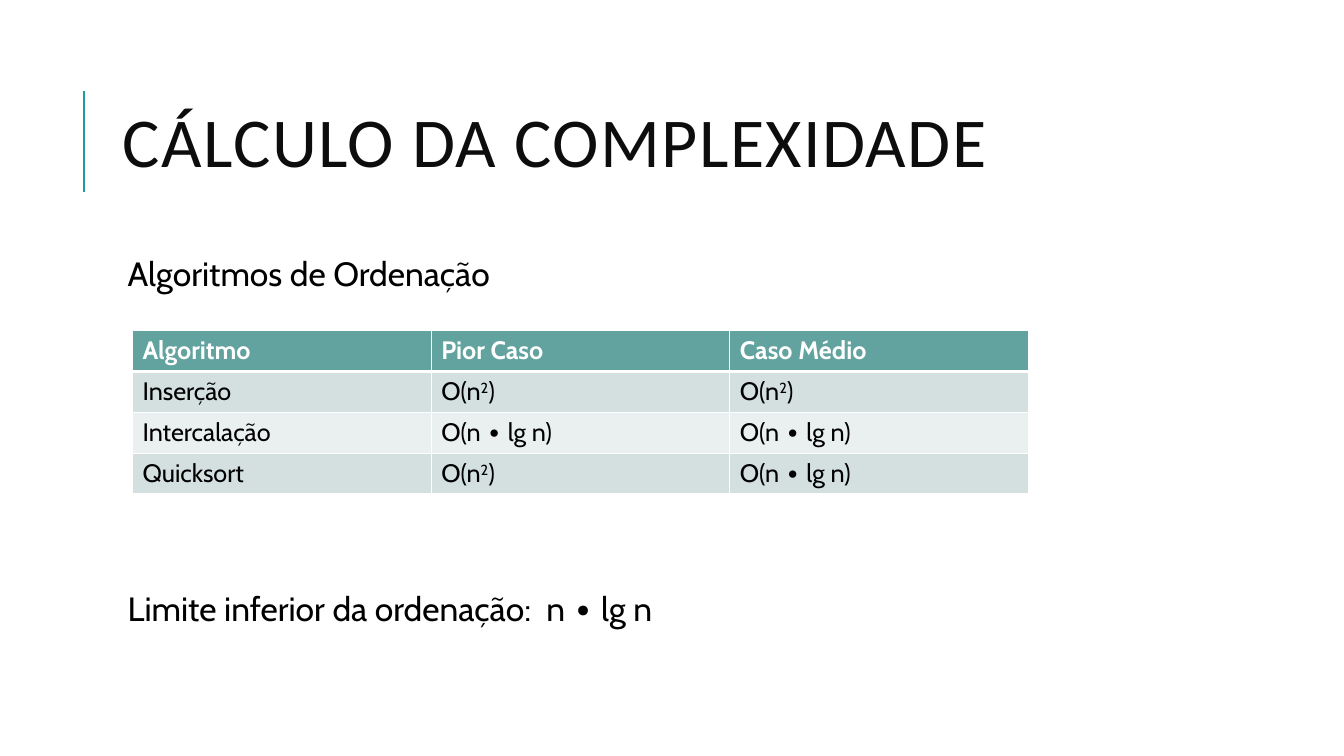
from lxml.etree import SubElement
from pptx import Presentation
from pptx.dml.color import RGBColor
from pptx.enum.shapes import MSO_CONNECTOR
from pptx.enum.text import MSO_ANCHOR, MSO_AUTO_SIZE, PP_ALIGN
from pptx.oxml.ns import qn
from pptx.util import Cm, Pt

HEADER = ["Algoritmo", "Pior Caso", "Caso Médio"]
ALGORITHMS = [
    ["Inserção", "O(n^2)", "O(n^2)"],
    ["Intercalação", "O(n ∙ lg n)", "O(n ∙ lg n)"],
    ["Quicksort", "O(n^2)", "O(n ∙ lg n)"],
]
STATEMENTS = ["Algoritmos de Ordenação", "Limite inferior da ordenação:  n ∙ lg n"]
STATEMENT_GAP = Pt(213.5)
HEADER_FILL = "62A39F"
BAND_FILLS = ["D3E0DF", "EAF0F0"]


def color(hex_value):
    return RGBColor.from_string(hex_value)


def set_all(target, values):
    for name, value in values.items():
        setattr(target, name, value)


def add_run(paragraph, text, size, font, hex_color, bold=False):
    run = paragraph.add_run()
    run.text = text
    set_all(run.font, {"size": Pt(size), "name": font, "bold": bold})
    run.font.color.rgb = color(hex_color)
    return run


def add_title(slide, text, left, top, width, height):
    title = slide.shapes.title
    set_all(title, {"left": left, "top": top, "width": width, "height": height})
    set_all(title.text_frame, {"vertical_anchor": MSO_ANCHOR.MIDDLE,
                               "auto_size": MSO_AUTO_SIZE.NONE, "word_wrap": True})
    paragraph = title.text_frame.paragraphs[0]
    set_all(paragraph, {"alignment": PP_ALIGN.LEFT, "line_spacing": 0.8})
    run = add_run(paragraph, text, 50, "Calibri", "0D0D0D")
    run.font._element.set("spc", "100")

    bar_left, bar_top = left - Cm(0.73), top + Cm(0.66)
    bar = slide.shapes.add_connector(MSO_CONNECTOR.STRAIGHT, bar_left, bar_top + Cm(2.54),
                                     bar_left, bar_top)
    bar.line.color.rgb = color("1D9BA1")
    bar.line.width = Pt(1.5)
    SubElement(bar._element.spPr, qn("a:effectLst"))


def add_statements(slide, left, top, width, height):
    """Place the statements above and below the room kept for the table."""
    frame = slide.shapes.add_textbox(left, top, width, height).text_frame
    set_all(frame, {"word_wrap": True, "margin_left": Cm(0.38), "margin_right": Cm(0.13),
                    "margin_top": Cm(0.13), "margin_bottom": Cm(0.13)})
    for index, text in enumerate(STATEMENTS):
        paragraph = frame.add_paragraph() if index else frame.paragraphs[0]
        set_all(paragraph, {"line_spacing": 0.9, "space_before": STATEMENT_GAP * index})
        add_run(paragraph, text, 24, "Cabin", "000000")


def set_borders(cell, top_width, bottom_width):
    properties = cell._tc.get_or_add_tcPr()
    for side, width in (("L", 1), ("R", 1), ("T", top_width), ("B", bottom_width)):
        line = SubElement(properties, qn(f"a:ln{side}"), w=str(Pt(width)))
        fill = SubElement(line, qn("a:solidFill"))
        SubElement(fill, qn("a:srgbClr"), val="FFFFFF")


def fill_cell(cell, text, row_index):
    """Format one cell; what follows ^ in the text is a one-character exponent."""
    is_header = row_index == 0
    set_borders(cell, 3 if row_index == 1 else 1, 3 if is_header else 1)
    cell.fill.solid()
    cell.fill.fore_color.rgb = color(HEADER_FILL if is_header else BAND_FILLS[(row_index - 1) % 2])
    text_color = "FFFFFF" if is_header else "000000"
    paragraph = cell.text_frame.paragraphs[0]
    base, _, power = text.partition("^")
    for part, baseline in ((base, 0), (power[:1], 30000), (power[1:], 0)):
        if part:
            run = add_run(paragraph, part, 18, "Cabin", text_color, is_header)
            if baseline:
                run.font._element.set("baseline", str(baseline))


def add_complexity_table(slide, left, top, width, height):
    rows = [HEADER, *ALGORITHMS]
    table = slide.shapes.add_table(len(rows), len(HEADER), left, top, width, height).table
    for row_index, row in enumerate(rows):
        for column_index, text in enumerate(row):
            fill_cell(table.cell(row_index, column_index), text, row_index)


def main():
    presentation = Presentation()
    presentation.slide_width, presentation.slide_height = Cm(33.87), Cm(19.05)
    slide = presentation.slides.add_slide(presentation.slide_layouts[5])
    add_title(slide, "CÁLCULO DA COMPLEXIDADE", Cm(2.84), Cm(1.63), Cm(27), Cm(4.17))
    add_statements(slide, Cm(2.84), Cm(6.35), Cm(27), Cm(11.18))
    add_complexity_table(slide, Cm(3.34), Cm(8.33), Cm(22.58), Cm(4.12))
    presentation.save("out.pptx")


if __name__ == "__main__":
    main()
